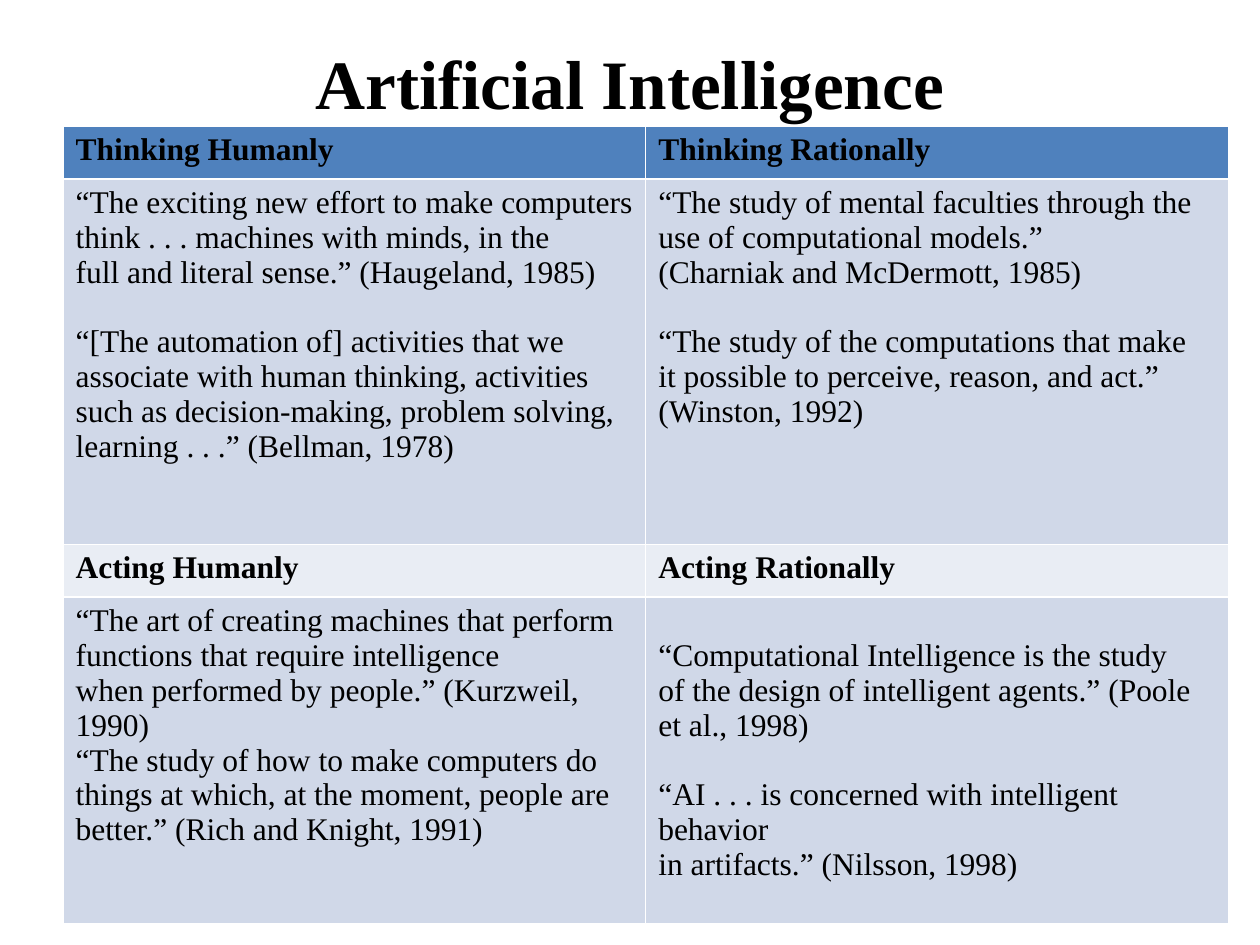
from pptx import Presentation
from pptx import util as u
from pptx.dml.color import RGBColor
from pptx.enum import text

BLACK = RGBColor(0x00, 0x00, 0x00)
BLUE = RGBColor(0x4F, 0x81, 0xBD)
BAND = RGBColor(0xD0, 0xD8, 0xE8)
PALE = RGBColor(0xE9, 0xED, 0xF4)
FONT = "Times New Roman"
LINE = u.Pt(19.9)


def style(p, size, bold):
    p.font.name = FONT
    p.font.size = u.Pt(size)
    p.font.bold = bold
    p.font.color.rgb = BLACK


prs = Presentation()
prs.slide_width, prs.slide_height = u.Inches(10), u.Inches(7.5)
s = prs.slides.add_slide(prs.slide_layouts[6])

sp = s.shapes.add_textbox(u.Inches(0.5), u.Inches(0.3), u.Inches(9), u.Inches(0.7))
tf = sp.text_frame
tf.word_wrap = True
tf.vertical_anchor = text.MSO_ANCHOR.MIDDLE
p = tf.paragraphs[0]
p.text = "Artificial Intelligence"
p.alignment = text.PP_ALIGN.CENTER
style(p, 39.6, True)

# Each cell is a list of quotes, each quote a list of lines.
rows = [
    (0.42, BLUE, True, [[["Thinking Humanly"]], [["Thinking Rationally"]]]),
    (2.9, BAND, False, [
        [["“The exciting new effort to make computers",
          "think . . . machines with minds, in the",
          "full and literal sense.” (Haugeland, 1985)"],
         ["“[The automation of] activities that we",
          "associate with human thinking, activities",
          "such as decision-making, problem solving,",
          "learning . . .” (Bellman, 1978)"]],
        [["“The study of mental faculties through the",
          "use of computational models.”",
          "(Charniak and McDermott, 1985)"],
         ["“The study of the computations that make",
          "it possible to perceive, reason, and act.”",
          "(Winston, 1992)"]],
    ]),
    (0.42, PALE, True, [[["Acting Humanly"]], [["Acting Rationally"]]]),
    (2.59, BAND, False, [
        [["“The art of creating machines that perform",
          "functions that require intelligence",
          "when performed by people.” (Kurzweil,",
          "1990)",
          "“The study of how to make computers do",
          "things at which, at the moment, people are",
          "better.” (Rich and Knight, 1991)"]],
        [["“Computational Intelligence is the study",
          "of the design of intelligent agents.” (Poole",
          "et al., 1998)"],
         ["“AI . . . is concerned with intelligent behavior",
          "in artifacts.” (Nilsson, 1998)"]],
    ]),
]

table = s.shapes.add_table(len(rows), 2, u.Inches(0.5), u.Inches(1),
                           u.Inches(9.25), u.Inches(6.33)).table
for r, (height, fill, bold, cells) in enumerate(rows):
    table.rows[r].height = u.Inches(height)
    for c, quotes in enumerate(cells):
        cell = table.cell(r, c)
        cell.fill.solid()
        cell.fill.fore_color.rgb = fill
        tf = cell.text_frame
        tf.text = "\n".join(line for quote in quotes for line in quote)
        for p in tf.paragraphs:
            style(p, 18, bold)
        if len(quotes) > 1:
            tf.paragraphs[len(quotes[0])].space_before = LINE
table.cell(3, 1).margin_top = u.Inches(0.05) + LINE

prs.save("out.pptx")
